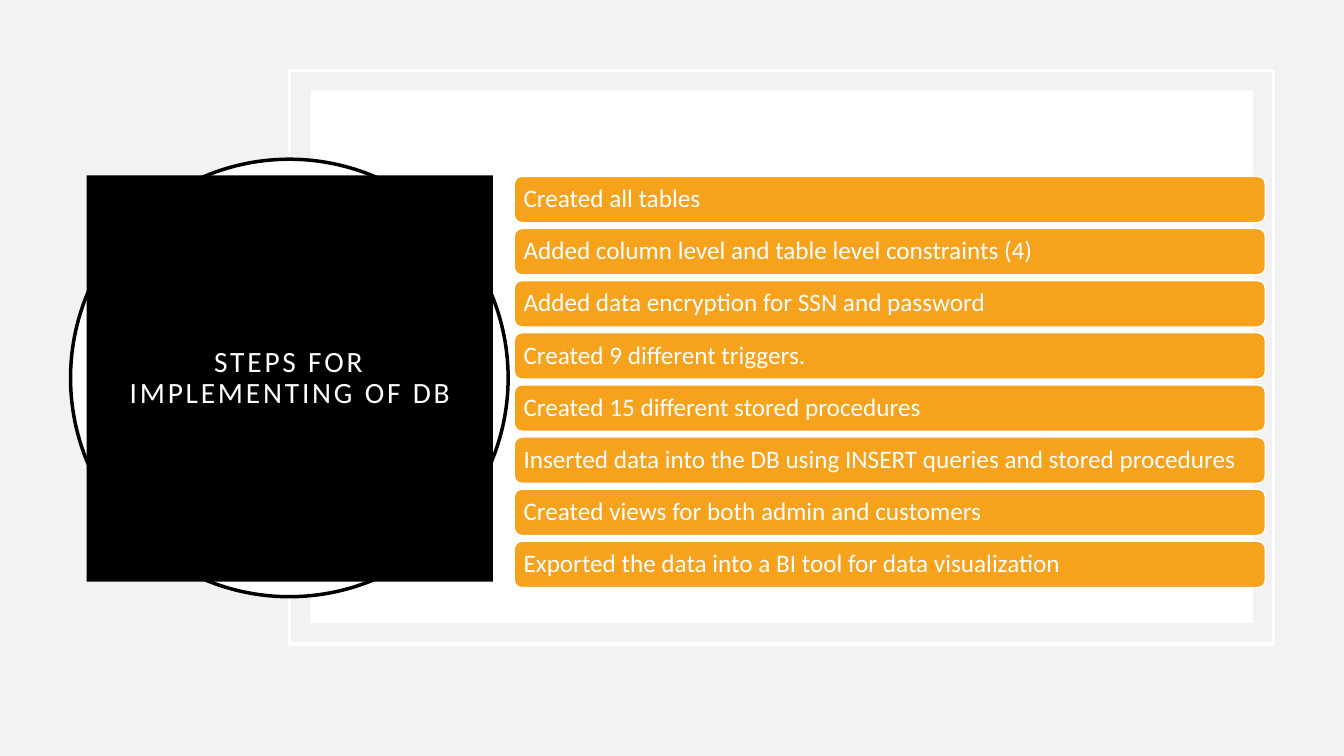
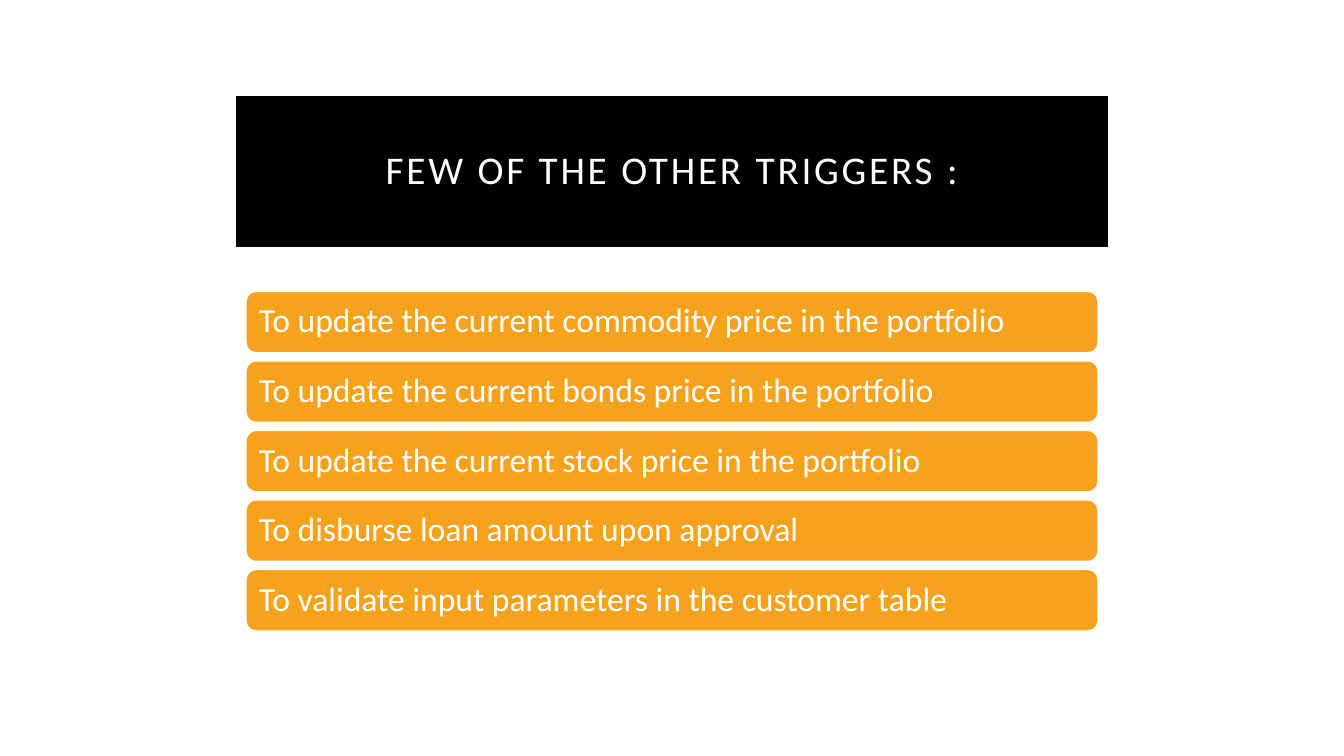
"""Build two slides with a black title block and a stack of orange bars."""
from lxml.etree import SubElement
from pptx import Presentation
from pptx.dml.color import RGBColor
from pptx.enum.shapes import MSO_SHAPE
from pptx.enum.text import MSO_ANCHOR, MSO_AUTO_SIZE, PP_ALIGN
from pptx.oxml.ns import qn
from pptx.util import Inches, Pt

FONT = "Calibri"
COLORS = {"black": "000000", "white": "FFFFFF", "gray": "F2F2F2", "orange": "F6A21D"}
TITLE_ONLY = 5

SLIDES = [
    {
        "title": "STEPS FOR IMPLEMENTING OF DB",
        "title_box": (0.86, 1.74, 4.03, 4.03),
        "title_size": 21,
        "title_line": None,
        "background": "gray",
        "decor": [
            (MSO_SHAPE.RECTANGLE, (2.87, 0.7, 9.76, 5.69), None, "white"),
            (MSO_SHAPE.RECTANGLE, (3.08, 0.9, 9.35, 5.28), "white", None),
            (MSO_SHAPE.OVAL, (0.7, 1.58, 4.34, 4.34), "white", "black"),
        ],
        "bars": [
            "Created all tables",
            "Added column level and table level constraints (4)",
            "Added data encryption for SSN and password",
            "Created 9 different triggers.",
            "Created 15 different stored procedures",
            "Inserted data into the DB using INSERT queries and stored procedures",
            "Created views for both admin and customers",
            "Exported the data into a BI tool for data visualization",
        ],
        "first_bar": (5.1, 1.75, 7.45, 0.46),
        "last_top": 5.37,
        "bar_size": 18,
        "inset": 0.07,
    },
    {
        "title": "FEW OF THE OTHER TRIGGERS :",
        "title_box": (2.44, 1.05, 8.45, 1.3),
        "title_size": 28,
        "title_line": 14,
        "background": "white",
        "decor": [],
        "bars": [
            "To update the current commodity price in the portfolio",
            "To update the current bonds price in the portfolio",
            "To update the current stock price in the portfolio",
            "To disburse loan amount upon approval",
            "To validate input parameters in the customer table",
        ],
        "first_bar": (2.44, 2.89, 8.45, 0.61),
        "last_top": 5.65,
        "bar_size": 24,
        "inset": 0.1,
    },
]


def rgb(name):
    return RGBColor.from_string(COLORS[name])


def paint(shape, fill, line=None, width=1):
    if fill:
        shape.fill.solid()
        shape.fill.fore_color.rgb = rgb(fill)
    else:
        shape.fill.background()
    if line:
        shape.line.color.rgb = rgb(line)
        shape.line.width = Pt(width)
    else:
        shape.line.fill.background()


def add_shape(s, kind, box, fill, line, width):
    shape = s.shapes.add_shape(kind, *map(Inches, box))
    shape.shadow.inherit = False
    paint(shape, fill, line, width)
    return shape


def write(shape, text, size, align, inset_x, inset_y):
    tf = shape.text_frame
    tf.word_wrap = True
    tf.auto_size = MSO_AUTO_SIZE.NONE
    tf.vertical_anchor = MSO_ANCHOR.MIDDLE
    tf.margin_left = tf.margin_right = Inches(inset_x)
    tf.margin_top = tf.margin_bottom = Inches(inset_y)
    p = tf.paragraphs[0]
    p.alignment = align
    p.line_spacing = 0.9
    r = p.add_run()
    r.text = text
    r.font.name = FONT
    r.font.size = Pt(size)
    r.font.color.rgb = rgb("white")
    return r


def add_title(s, data):
    title = s.shapes.title
    title.left, title.top, title.width, title.height = map(Inches, data["title_box"])
    width = data["title_line"]
    paint(title, "black", "black" if width else None, width)
    ln = title.element.spPr.find(qn("a:ln"))
    SubElement(ln, qn("a:miter"), lim="800000")
    r = write(title, data["title"], data["title_size"], PP_ALIGN.CENTER, 0.2, 0.2)
    r.font._element.set("spc", "200")
    title.element.getparent().append(title.element)


def add_bars(s, data):
    left, top, width, height = data["first_bar"]
    pitch = (data["last_top"] - top) / (len(data["bars"]) - 1)
    for i, text in enumerate(data["bars"]):
        box = (left, top + i * pitch, width, height)
        bar = add_shape(s, MSO_SHAPE.ROUNDED_RECTANGLE, box, "orange", "white", 1)
        write(bar, text, data["bar_size"], PP_ALIGN.LEFT, data["inset"], 0)


def main():
    prs = Presentation()
    prs.slide_width, prs.slide_height = Inches(13.33), Inches(7.5)
    for data in SLIDES:
        s = prs.slides.add_slide(prs.slide_layouts[TITLE_ONLY])
        s.background.fill.solid()
        s.background.fill.fore_color.rgb = rgb(data["background"])
        for kind, box, fill, line in data["decor"]:
            add_shape(s, kind, box, fill, line, 2.5)
        add_title(s, data)
        add_bars(s, data)
    prs.save("out.pptx")


if __name__ == "__main__":
    main()
